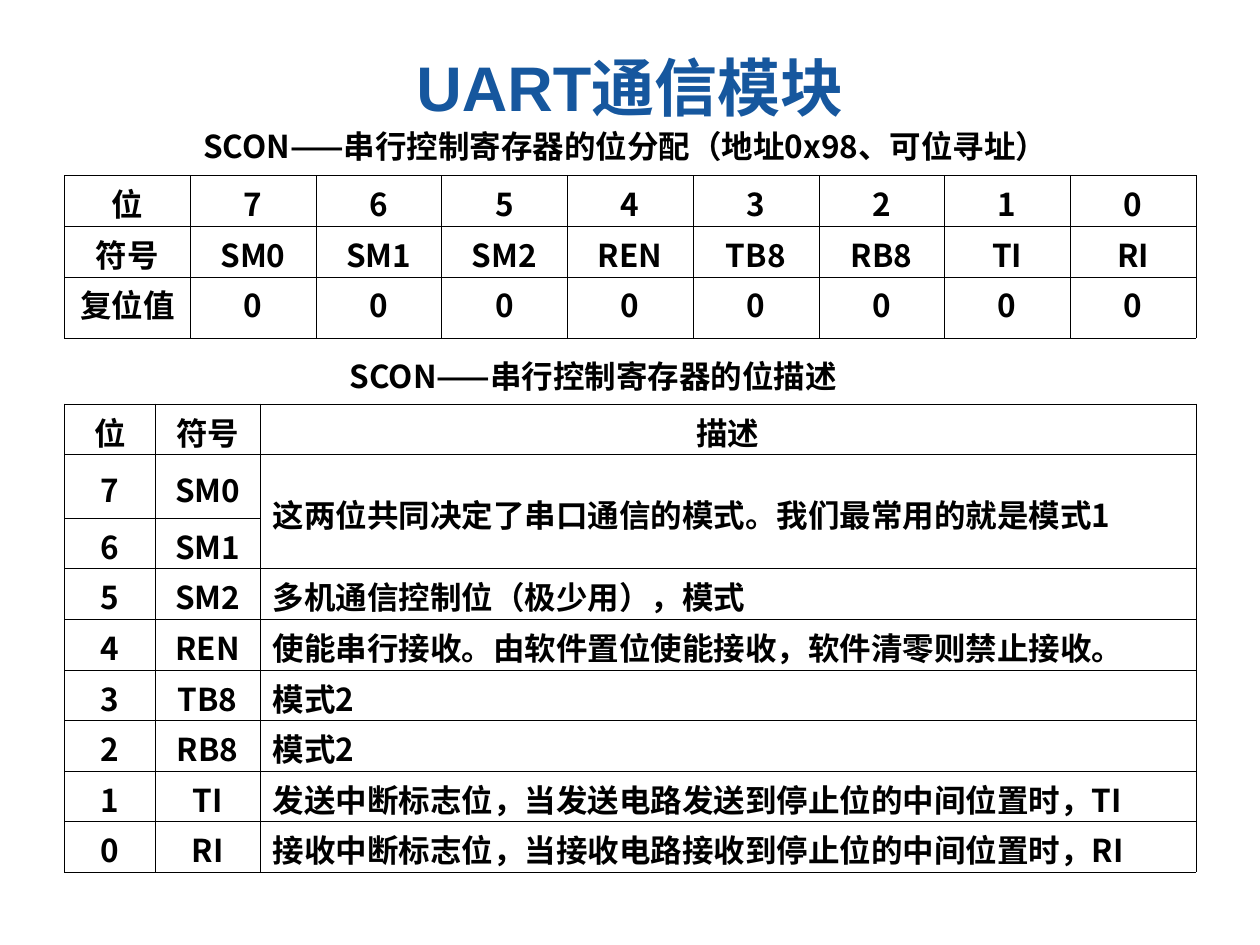
"""Build a slide with the bit layout and bit meanings of the SCON register."""
from lxml import etree
from pptx import Presentation
from pptx.dml.color import RGBColor
from pptx.enum import text as t
from pptx.oxml import ns
from pptx.util import Cm, Pt

BLUE = RGBColor(0x16, 0x57, 0x9E)
BLACK = RGBColor(0, 0, 0)
SANS = "Noto Sans CJK SC"
MID, TOP = t.MSO_ANCHOR.MIDDLE, t.MSO_ANCHOR.TOP
CENTER, LEFT = t.PP_ALIGN.CENTER, t.PP_ALIGN.LEFT

HEAD = {"name": "Arial", "size": Pt(36), "bold": True}
BODY = {"name": SANS, "size": Pt(18), "bold": True}

LABELS = [
    ("UART通信模块", (1.27, 0.76, 22.86, 1.96), HEAD, BLUE, MID, 0.13),
    ("SCON——串行控制寄存器的位分配（地址0x98、可位寻址）",
     (3.5, 2.51, 18.21, 1.02), BODY, BLACK, TOP, 0.05),
    ("SCON——串行控制寄存器的位描述",
     (4.9, 7.14, 14.12, 1.02), BODY, BLACK, TOP, 0.05),
]

NAMES = ["SM0", "SM1", "SM2", "REN", "TB8", "RB8", "TI", "RI"]
BITS = [str(n) for n in range(7, -1, -1)]
NOTES = [
    "这两位共同决定了串口通信的模式。我们最常用的就是模式1",
    None,
    "多机通信控制位（极少用），模式",
    "使能串行接收。由软件置位使能接收，软件清零则禁止接收。",
    "模式2",
    "模式2",
    "发送中断标志位，当发送电路发送到停止位的中间位置时，TI",
    "接收中断标志位，当接收电路接收到停止位的中间位置时，RI",
]
LAYOUT = [["位", *BITS], ["符号", *NAMES], ["复位值", *["0"] * 8]]
MEANING = [("位", "符号", "描述"), *zip(BITS, NAMES, NOTES)]

EDGE, WIDE, ROW = 1.3, 22.81, 1.02
GRIDS = [
    (LAYOUT, 3.54, [WIDE / 9] * 9, [ROW, ROW, 1.23], TOP),
    (MEANING, 8.14, [1.83, 2.11, 18.87], [ROW, 1.28] + [ROW] * 7, MID),
]


def assign(item, values):
    for key, value in values.items():
        setattr(item, key, value)


def write(frame, words, look, color, align):
    para = frame.paragraphs[0]
    para.alignment = align
    run = para.add_run()
    run.text = words
    assign(run.font, look)
    run.font.color.rgb = color
    east = etree.SubElement(run.font._element, ns.qn("a:ea"))
    east.set("typeface", SANS)


def label(slide, words, place, look, color, anchor, pad):
    frame = slide.shapes.add_textbox(*map(Cm, place)).text_frame
    assign(frame, {"word_wrap": True, "vertical_anchor": anchor,
                   "margin_top": Cm(pad), "margin_bottom": Cm(pad)})
    write(frame, words, look, color, CENTER)


def border(cell):
    props = cell._tc.get_or_add_tcPr()
    for spot, side in enumerate("LRTB"):
        line = etree.Element(ns.qn("a:ln" + side), w=str(Pt(0.23)))
        fill = etree.SubElement(line, ns.qn("a:solidFill"))
        etree.SubElement(fill, ns.qn("a:srgbClr"), val=str(BLACK))
        props.insert(spot, line)


def grid(slide, rows, top, cols, highs, anchor):
    place = map(Cm, (EDGE, top, sum(cols), sum(highs)))
    table = slide.shapes.add_table(len(rows), len(cols), *place).table
    assign(table, {"first_row": False, "horz_banding": False})
    for col, width in zip(table.columns, cols):
        col.width = Cm(width)
    for row, high in zip(table.rows, highs):
        row.height = Cm(high)
    for r, row in enumerate(rows):
        for c, words in enumerate(row):
            cell = table.cell(r, c)
            assign(cell, {"vertical_anchor": anchor,
                          "margin_top": Cm(0.09), "margin_bottom": 0})
            cell.fill.background()
            border(cell)
            if words is None:
                table.cell(r - 1, c).merge(cell)
            else:
                align = LEFT if words in NOTES else CENTER
                write(cell.text_frame, words, BODY, BLACK, align)


def main():
    deck = Presentation()
    assign(deck, {"slide_width": Cm(25.4), "slide_height": Cm(19.05)})
    slide = deck.slides.add_slide(deck.slide_layouts[6])
    for item in LABELS:
        label(slide, *item)
    for item in GRIDS:
        grid(slide, *item)
    deck.save("out.pptx")


if __name__ == "__main__":
    main()
